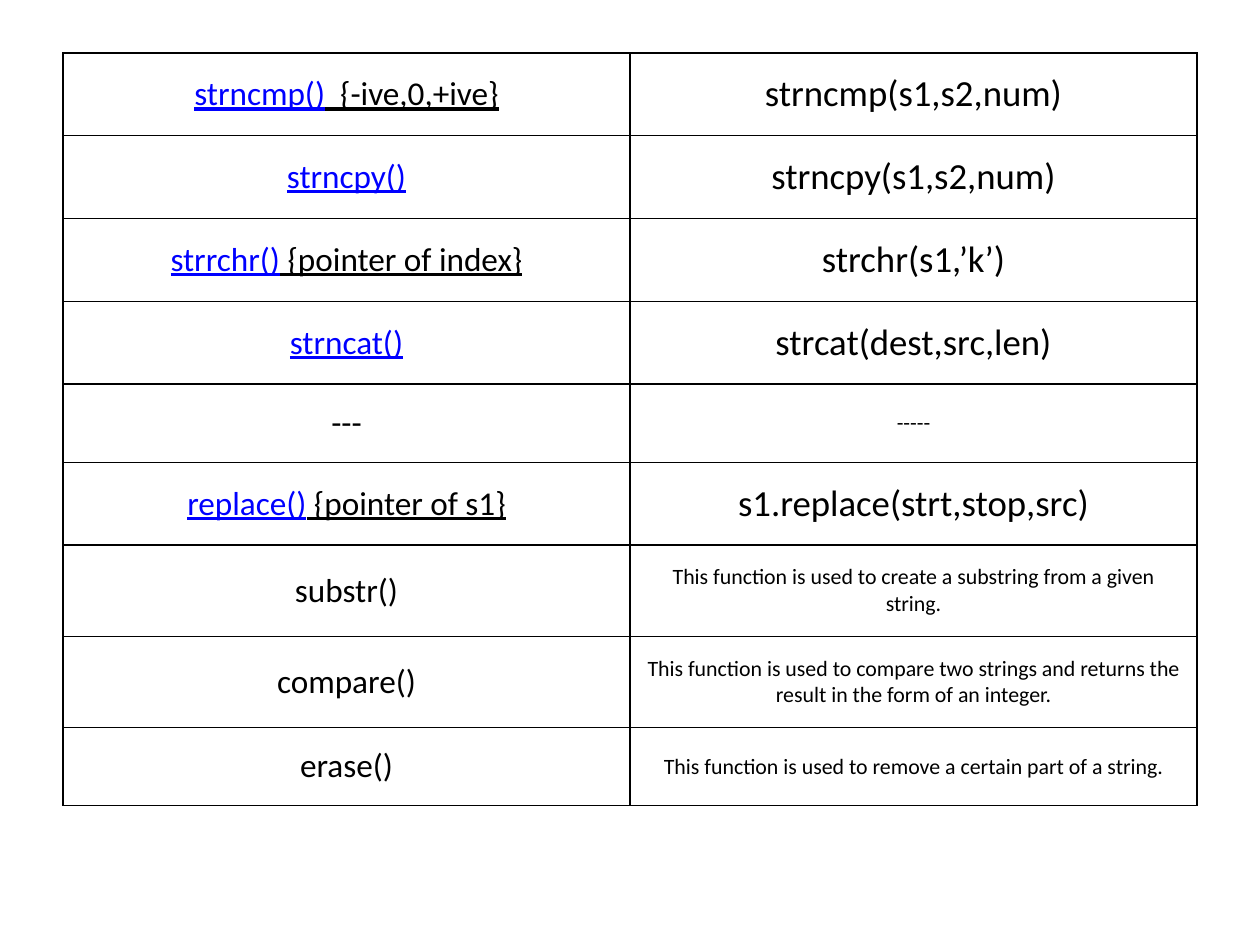
from lxml.etree import SubElement
from pptx import Presentation
from pptx.dml.color import RGBColor
from pptx.enum.text import MSO_ANCHOR, PP_ALIGN
from pptx.oxml.ns import qn
from pptx.util import Inches, Pt

# Content: (function, underlined note, usage or description)
LINKED, PLAIN = True, False
ROWS = [
    (LINKED, "strncmp()", "  {-ive,0,+ive}", "strncmp(s1,s2,num)"),
    (LINKED, "strncpy()", "", "strncpy(s1,s2,num)"),
    (LINKED, "strrchr()", " {pointer of index}", "strchr(s1,’k’)"),
    (LINKED, "strncat()", "", "strcat(dest,src,len)"),
    (PLAIN, "---", "", "-----"),
    (LINKED, "replace()", " {pointer of s1}", "s1.replace(strt,stop,src)"),
    (PLAIN, "substr()", "",
     "This function is used to create a substring from a given string."),
    (PLAIN, "compare()", "",
     "This function is used to compare two strings and returns the result "
     "in the form of an integer."),
    (PLAIN, "erase()", "",
     "This function is used to remove a certain part of a string."),
]
BLACK, BLUE, WHITE = "000000", "0000FF", "FFFFFF"
NAME_SIZE, USAGE_SIZE, NOTE_SIZE = 19, 21, 12.5
MARGIN, TOP, ROW_HEIGHT, TABLE_HEIGHT = 0.5, 0.42, 0.41, 5.84


def color(value):
    return RGBColor.from_string(value)


def add_borders(cell):
    properties = cell._tc.get_or_add_tcPr()
    for position, side in enumerate(("lnL", "lnR", "lnT", "lnB")):
        line = SubElement(properties, qn(f"a:{side}"), w=str(Pt(1)))
        fill = SubElement(line, qn("a:solidFill"))
        SubElement(fill, qn("a:srgbClr"), val=BLACK)
        properties.remove(line)
        properties.insert(position, line)  # borders come before the fill


def fill_cell(cell, spans, size):
    """Write (text, colour, underline) spans into a centred, bordered cell."""
    cell.margin_left = cell.margin_right = Inches(0.1)
    cell.margin_top = cell.margin_bottom = Inches(0.15)
    cell.vertical_anchor = MSO_ANCHOR.MIDDLE
    cell.fill.solid()
    cell.fill.fore_color.rgb = color(WHITE)
    add_borders(cell)

    para = cell.text_frame.paragraphs[0]
    para.alignment = PP_ALIGN.CENTER
    para.font.name = "Calibri"
    para.font.size = Pt(size)
    for text, hue, underline in spans:
        span = para.add_run()
        span.text = text
        span.font.name = "Calibri"
        span.font.size = Pt(size)
        span.font.color.rgb = color(hue)
        span.font.underline = underline


def main():
    deck = Presentation()
    deck.slide_width, deck.slide_height = Inches(10), Inches(7.5)
    page = deck.slides.add_slide(deck.slide_layouts[6])

    # Two equal columns between the side margins
    frame = page.shapes.add_table(
        len(ROWS), 2, Inches(MARGIN), Inches(TOP),
        deck.slide_width - 2 * Inches(MARGIN), Inches(TABLE_HEIGHT))
    table = frame.table
    table.first_row = table.horz_banding = False

    for index, (linked, name, note, usage) in enumerate(ROWS):
        table.rows[index].height = Inches(ROW_HEIGHT)  # grows with its text
        spans = [(name, BLUE if linked else BLACK, linked)]
        if note:
            spans.append((note, BLACK, True))
        fill_cell(table.cell(index, 0), spans, NAME_SIZE)
        fill_cell(table.cell(index, 1), [(usage, BLACK, False)],
                  USAGE_SIZE if linked else NOTE_SIZE)
    frame.height = Inches(TABLE_HEIGHT)

    deck.save("out.pptx")


if __name__ == "__main__":
    main()
